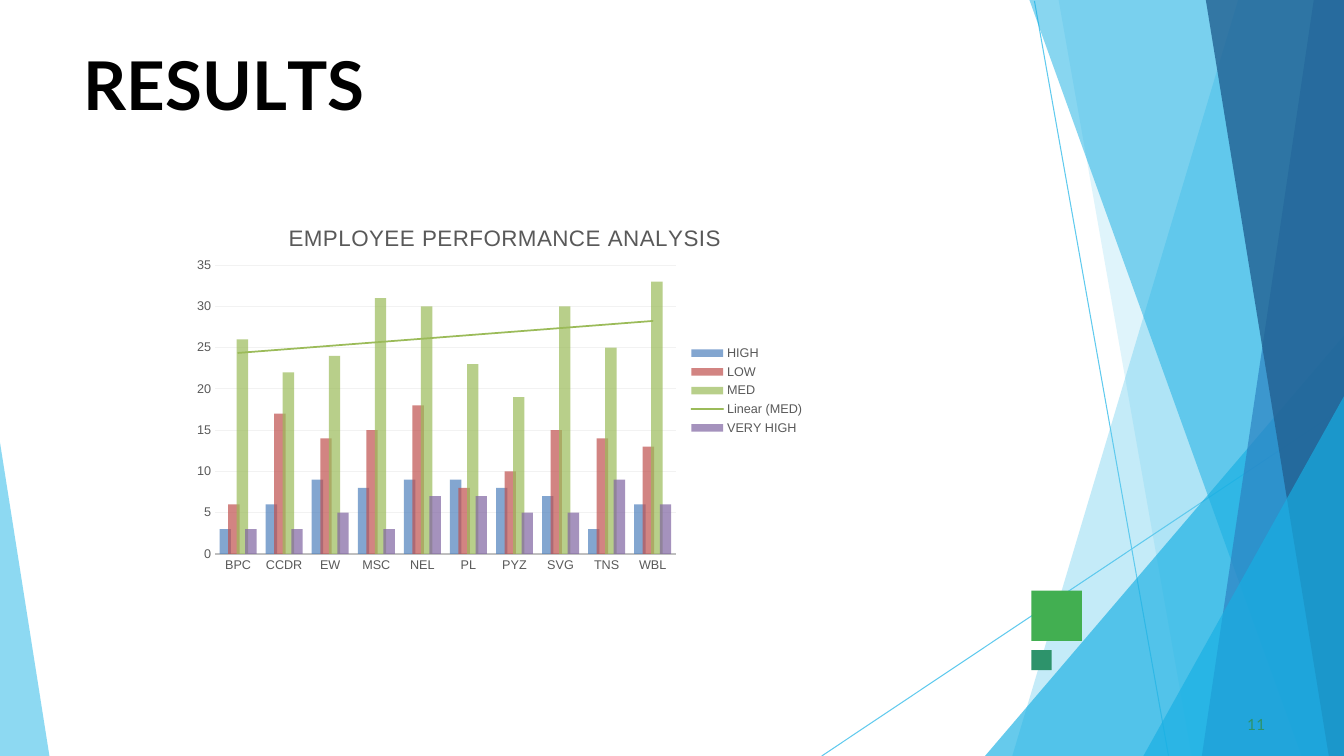
from dataclasses import dataclass

import pptx
import pptx.chart.data
import pptx.dml.color
import pptx.enum.chart
import pptx.enum.shapes
import pptx.oxml
import pptx.oxml.ns
import pptx.util
from pptx.util import Inches

qn = pptx.oxml.ns.qn


@dataclass(frozen=True)
class Theme:
    sky: str = "5FCAEE"
    cyan: str = "17AFE3"
    blue: str = "2D83C3"
    navy: str = "226192"
    green: str = "42AF51"
    teal: str = "2D936B"
    black: str = "000000"
    label: str = "595959"
    axis: str = "BFBFBF"
    grid: str = "F2F2F2"
    series: tuple = ("4F81BD", "C0504D", "9BBB59", "8064A2")
    series_opacity: int = 70
    heading_font: str = "Lato"
    chart_font: str = "Arial"
    heading_size: float = 48
    number_size: float = 11
    chart_title_size: float = 16
    chart_size: float = 10
    label_size: float = 9


THEME = Theme()

FACETS = [
    ([(13.33, 0), (12.28, 0), (10.04, 7.5), (13.33, 7.5)], THEME.sky, 37),
    ([(13.33, 0), (10.5, 0), (11.82, 7.5), (13.33, 7.5)], THEME.sky, 20),
    ([(13.33, 3.33), (9.77, 7.5), (13.33, 7.5)], THEME.cyan, 66),
    ([(13.33, 0), (10.21, 0), (12.91, 7.5), (13.33, 7.5)], THEME.cyan, 51),
    ([(13.33, 0), (13.03, 0), (11.92, 7.5), (13.33, 7.5)], THEME.blue, 71),
    ([(13.33, 0), (11.96, 0), (13.18, 7.5), (13.33, 7.5)], THEME.navy, 80),
    ([(13.33, 3.93), (11.34, 7.5), (13.33, 7.5)], THEME.cyan, 66),
    ([(0, 4.39), (0, 7.5), (0.49, 7.5)], THEME.sky, 71),
]

DEPARTMENTS = ["BPC", "CCDR", "EW", "MSC", "NEL", "PL", "PYZ", "SVG", "TNS", "WBL"]
RATINGS = {
    "HIGH": [3, 6, 9, 8, 9, 9, 8, 7, 3, 6],
    "LOW": [6, 17, 14, 15, 18, 8, 10, 15, 14, 13],
    "MED": [26, 22, 24, 31, 30, 23, 19, 30, 25, 33],
    "VERY HIGH": [3, 3, 5, 3, 7, 7, 5, 5, 9, 6],
}


def rgb(color):
    return pptx.dml.color.RGBColor.from_string(color)


def paint(fill, color, opacity=100):
    fill.solid()
    fill.fore_color.rgb = rgb(color)
    if opacity < 100:
        tint = fill._xPr.find(".//" + qn("a:srgbClr"))
        tint.append(chart_xml(f'<a:alpha {{ns}} val="{opacity * 1000}"/>'))


def chart_xml(markup):
    return pptx.oxml.parse_xml(markup.format(ns=pptx.oxml.ns.nsdecls("a", "c")))


def style_line(line, color, width):
    line.color.rgb = rgb(color)
    line.width = pptx.util.Pt(width)


def style_font(font, name, size, color, bold=False):
    font.name = name
    font.size = pptx.util.Pt(size)
    font.bold = bold
    font.color.rgb = rgb(color)


def add_line(page, start, end):
    line = page.shapes.add_connector(
        pptx.enum.shapes.MSO_CONNECTOR.STRAIGHT, *map(Inches, start + end))
    style_line(line.line, THEME.sky, 0.75)
    line._element.spPr.append(chart_xml("<a:effectLst {ns}/>"))


def add_facet(page, points, color, opacity):
    corners = [(Inches(x), Inches(y)) for x, y in points]
    builder = page.shapes.build_freeform(*corners[0])
    builder.add_line_segments(corners[1:], close=True)
    facet = builder.convert_to_shape()
    facet.shadow.inherit = False
    facet.line.fill.background()
    paint(facet.fill, color, opacity)


def add_square(page, left, top, side, color):
    square = page.shapes.add_shape(
        pptx.enum.shapes.MSO_SHAPE.RECTANGLE, *map(Inches, (left, top, side, side)))
    square.shadow.inherit = False
    square.line.fill.background()
    paint(square.fill, color)


def add_text(page, place, spans, size, color, space_before, bold=False):
    box = page.shapes.add_textbox(*map(Inches, place))
    frame = box.text_frame
    frame.word_wrap = True
    frame.margin_left = frame.margin_right = frame.margin_bottom = 0
    frame.margin_top = Inches(0.01)
    para = frame.paragraphs[0]
    para.space_before = pptx.util.Pt(space_before)
    for text, spacing in spans:
        span = para.add_run()
        span.text = text
        style_font(span.font, THEME.heading_font, size, color, bold)
        span._r.get_or_add_rPr().set("spc", str(round(spacing * 100)))


def set_layout(parent, position, **settings):
    for old in parent.findall(qn("c:layout")):
        parent.remove(old)
    entries = "".join(f'<c:{key} val="{value}"/>' for key, value in settings.items())
    layout = chart_xml(
        f"<c:layout {{ns}}><c:manualLayout>{entries}</c:manualLayout></c:layout>")
    parent.insert(position, layout)


def add_trendline(series, color):
    trend = chart_xml(
        '<c:trendline {ns}><c:spPr><a:ln w="15875" cap="rnd"><a:solidFill>'
        f'<a:srgbClr val="{color}"/></a:solidFill></a:ln></c:spPr>'
        '<c:trendlineType val="linear"/><c:dispRSqr val="0"/><c:dispEq val="0"/>'
        '</c:trendline>')
    series._element.find(qn("c:cat")).addprevious(trend)


def style_axes(chart):
    for axis in (chart.category_axis, chart.value_axis):
        axis.major_tick_mark = axis.minor_tick_mark = pptx.enum.chart.XL_TICK_MARK.NONE
        style_font(axis.tick_labels.font, THEME.chart_font, THEME.label_size, THEME.label)
    style_line(chart.category_axis.format.line, THEME.axis, 1.25)
    values = chart.value_axis
    values.minimum_scale, values.maximum_scale, values.major_unit = 0, 35, 5
    values.format.line.fill.background()
    values.has_major_gridlines = True
    style_line(values.major_gridlines.format.line, THEME.grid, 0.75)


def add_chart_title(chart, text):
    chart.has_title = True
    title = chart.chart_title
    title.include_in_layout = False
    title.text_frame.text = text
    span = title.text_frame.paragraphs[0].runs[0]
    style_font(span.font, THEME.chart_font, THEME.chart_title_size, THEME.label)
    span._r.get_or_add_rPr().set("spc", "50")
    set_layout(title._element, 1, xMode="edge", yMode="edge", x=0.16, y=0.05)


def add_performance_chart(page, place):
    data = pptx.chart.data.CategoryChartData()
    data.categories = DEPARTMENTS
    for name, counts in RATINGS.items():
        data.add_series(name, counts)
    chart = page.shapes.add_chart(
        pptx.enum.chart.XL_CHART_TYPE.COLUMN_CLUSTERED, *map(Inches, place), data).chart
    style_font(chart.font, THEME.chart_font, THEME.chart_size, THEME.black)
    add_chart_title(chart, "EMPLOYEE PERFORMANCE ANALYSIS")
    style_axes(chart)
    chart.has_legend = True
    chart.legend.position = pptx.enum.chart.XL_LEGEND_POSITION.RIGHT
    chart.legend.include_in_layout = False
    style_font(chart.legend.font, THEME.chart_font, THEME.label_size, THEME.label)
    plot = chart.plots[0]
    plot.gap_width, plot.overlap, plot.vary_by_categories = 80, 25, False
    for series, color in zip(plot.series, THEME.series):
        paint(series.format.fill, color, THEME.series_opacity)
        if series.name == "MED":
            add_trendline(series, color)
    plot_area = chart._chartSpace.find(".//" + qn("c:plotArea"))
    set_layout(plot_area, 0, layoutTarget="inner", xMode="edge", yMode="edge",
               x=0.05, y=0.17, w=0.73, h=0.76)


def main():
    deck = pptx.Presentation()
    deck.slide_width, deck.slide_height = Inches(13.33), Inches(7.5)
    page = deck.slides.add_slide(deck.slide_layouts[6])
    add_line(page, (10.26, 0.01), (11.59, 7.5))
    add_line(page, (13.33, 4.04), (8.15, 7.5))
    for points, color, opacity in FACETS:
        add_facet(page, points, color, opacity)
    add_square(page, 10.23, 5.86, 0.5, THEME.green)
    add_square(page, 10.23, 6.45, 0.2, THEME.teal)
    heading = [("R", 0), ("E", -0.4), ("S", 0.1), ("U", -0.3), ("L", -4.1), ("TS", 0)]
    add_text(page, (0.83, 0.42, 3.11, 0.81), heading,
             THEME.heading_size, THEME.black, 1.1, bold=True)
    add_text(page, (12.37, 7.08, 0.21, 0.19), [("11", 0.1)],
             THEME.number_size, THEME.teal, 0.5)
    add_performance_chart(page, (1.82, 1.99, 6.26, 3.77))
    deck.save("out.pptx")


if __name__ == "__main__":
    main()
